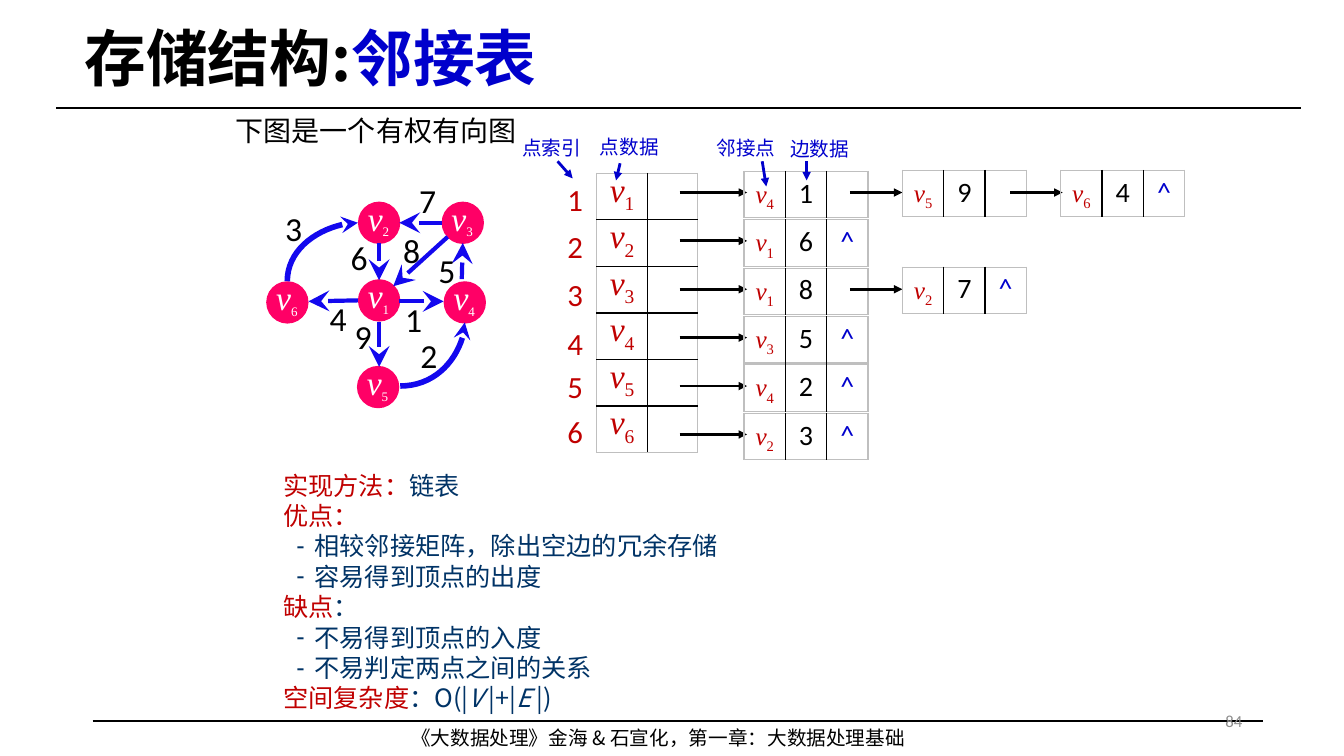
from lxml.etree import SubElement
from pptx import Presentation
from pptx.dml.color import RGBColor
from pptx.enum.shapes import MSO_CONNECTOR as Connector, MSO_SHAPE as Shape
from pptx.enum.text import MSO_ANCHOR as Anchor, MSO_AUTO_SIZE as AutoSize, PP_ALIGN as Align
from pptx.oxml import parse_xml
from pptx.oxml.ns import nsdecls, qn
from pptx.util import Inches, Pt

BLACK = RGBColor(0x00, 0x00, 0x00)
WHITE = RGBColor(0xFF, 0xFF, 0xFF)
RED = RGBColor(0xC0, 0x00, 0x00)
BLUE = RGBColor(0x00, 0x00, 0xCC)
NAVY = RGBColor(0x00, 0x33, 0x66)
PINK = RGBColor(0xFF, 0x00, 0x66)
EDGE_BLUE = RGBColor(0x13, 0x08, 0xEE)
GRAY = RGBColor(0x8C, 0x8C, 0x8C)
BORDER_GRAY = RGBColor(0xBF, 0xBF, 0xBF)
CJK = "Noto Sans CJK SC"
LATIN = "Calibri"
SERIF = "Times New Roman"


def write(paragraph, text, size=18, font=LATIN, color=BLACK, bold=False, italic=False,
          sub=False, align=None, spacing=None):
    if align is not None:
        paragraph.alignment = align
    if spacing:
        paragraph.line_spacing = spacing
    run = paragraph.add_run()
    run.text = text
    run.font.size = Pt(size)
    run.font.bold = bold
    run.font.italic = italic
    run.font.color.rgb = color
    run.font.name = font
    properties = run.font._element
    SubElement(properties, qn("a:ea")).set("typeface", font)
    if sub:
        properties.set("baseline", "-25000")


def write_vertex(paragraph, number, size, sub_size, color, **style):
    write(paragraph, "v", size, SERIF, color, italic=True, **style)
    write(paragraph, str(number), sub_size, SERIF, color, sub=True)


def text_area(slide, x, y, width, height, wrap=False):
    area = slide.shapes.add_textbox(Inches(x), Inches(y), Inches(width), Inches(height))
    area.text_frame.word_wrap = wrap
    return area.text_frame


def line(slide, start, end, color=BLACK, width=2, head=None, tail=None, size="med", curved=False):
    kind = Connector.CURVE if curved else Connector.STRAIGHT
    connector = slide.shapes.add_connector(kind, *(Inches(v) for v in (*start, *end)))
    connector.line.color.rgb = color
    connector.line.width = Pt(width)
    properties = connector._element.spPr
    if curved:
        properties.find(qn("a:prstGeom")).set("prst", "curvedConnector2")
    outline = properties.find(qn("a:ln"))
    for tag, arrow in (("a:headEnd", head), ("a:tailEnd", tail)):
        if arrow:
            end_mark = SubElement(outline, qn(tag))
            for key, value in (("type", arrow), ("w", size), ("len", size)):
                end_mark.set(key, value)
    SubElement(properties, qn("a:effectLst"))


def add_grid(slide, x, y, rows, columns, column_width):
    frame = slide.shapes.add_table(rows, columns, Inches(x), Inches(y),
                                   Inches(column_width * columns), Inches(0.46 * rows))
    grid = frame.table
    grid.first_row = grid.horz_banding = False
    for r in range(rows):
        for c in range(columns):
            cell = grid.cell(r, c)
            cell.fill.background()
            outer = (c == 0, c == columns - 1, r == 0, r == rows - 1)
            for i, (side, is_outer) in enumerate(zip("LRTB", outer)):
                color = BORDER_GRAY if is_outer else BLACK
                cell._tc.get_or_add_tcPr().insert(i, parse_xml(
                    f'<a:ln{side} {nsdecls("a")} w="12700"><a:solidFill>'
                    f'<a:srgbClr val="{color}"/></a:solidFill></a:ln{side}>'))
    return grid


def heading(slide, x, y, width, height):
    title = slide.shapes.title
    title.left, title.top, title.width, title.height = map(Inches, (x, y, width, height))
    title.text_frame.vertical_anchor = Anchor.MIDDLE
    paragraph = title.text_frame.paragraphs[0]
    for text, color in (("存储结构:", BLACK), ("邻接表", BLUE)):
        write(paragraph, text, 44, CJK, color, bold=True, align=Align.LEFT, spacing=0.9)
    line(slide, (x - 0.18, y + 0.92), (x + 12.16, y + 0.92), width=1.75)


def footer(slide, x, y):
    line(slide, (x, y), (x + 11.61, y), width=1.25)
    source = text_area(slide, x + 3.06, y, 5.37, 0.34, wrap=True)
    write(source.paragraphs[0], "《大数据处理》金海 & 石宣化，第一章：大数据处理基础", 14, CJK, spacing=Pt(17))
    page = text_area(slide, x + 8.5, y - 0.2, 3, 0.4, wrap=True)
    page.vertical_anchor = Anchor.MIDDLE
    write(page.paragraphs[0], "84", 12, color=GRAY, align=Align.RIGHT)


def graph(slide, x, y):
    caption = text_area(slide, x - 0.4, y - 0.67, 3.01, 0.44)
    write(caption.paragraphs[0], "下图是一个有权有向图", 20, CJK, spacing=Pt(24.4))
    vertices = {1: (0.91, 1.03), 2: (0.91, 0.26), 3: (1.74, 0.26),
                4: (1.76, 1.05), 5: (0.9, 1.89), 6: (0, 1.05)}
    for dx, dy in vertices.values():
        circle = slide.shapes.add_shape(Shape.OVAL, Inches(x + dx), Inches(y + dy),
                                        Inches(0.42), Inches(0.42))
        circle.shadow.inherit = False
        circle.fill.solid()
        circle.fill.fore_color.rgb = PINK
        circle.line.fill.background()
    edges = [(0.91, 1.24, 0.42, 1.25), (1.12, 1.45, 1.12, 1.9), (1.32, 1.25, 1.76, 1.25),
             (1.12, 0.67, 1.12, 1.04), (1.94, 1.03, 1.95, 0.67), (1.74, 0.47, 1.32, 0.47),
             (1.8, 0.61, 1.26, 1.1)]
    for x1, y1, x2, y2 in edges:
        line(slide, (x + x1, y + y1), (x + x2, y + y2), EDGE_BLUE, 3, tail="stealth", size="lg")
    line(slide, (x + 0.91, y + 0.47), (x + 0.21, y + 1.05), EDGE_BLUE, 4,
         head="stealth", curved=True)
    line(slide, (x + 1.33, y + 2.09), (x + 1.97, y + 1.46), EDGE_BLUE, 4,
         tail="stealth", curved=True)
    weights = {3: (0.09, 0.27), 4: (0.53, 1.17), 9: (0.78, 1.34), 6: (0.74, 0.56), 7: (1.42, 0),
               8: (1.26, 0.49), 5: (1.61, 0.69), 2: (1.43, 1.53), 1: (1.28, 1.18)}
    for weight, (dx, dy) in weights.items():
        write(text_area(slide, x + dx, y + dy, 0.37, 0.51).paragraphs[0], str(weight), 24)
    for number, (dx, dy) in vertices.items():
        label = text_area(slide, x + dx, y + dy - 0.09, 0.43, 0.51)
        write_vertex(label.paragraphs[0], number, 24, 16, WHITE)


def edge_record(slide, x, y, vertex, weight, is_last):
    record = add_grid(slide, x, y, 1, 3, 0.41)
    first, second, third = (record.cell(0, c).text_frame.paragraphs[0] for c in range(3))
    write_vertex(first, vertex, 18, 18, RED, align=Align.CENTER, spacing=Pt(26))
    write(second, str(weight), 20, align=Align.CENTER)
    if is_last:
        write(third, "^", 20, color=BLUE, align=Align.CENTER)


def adjacency_list(slide, x, y):
    vertex_table = add_grid(slide, x, y, 6, 2, 0.5)
    chains = [[(4, 1), (5, 9), (6, 4)], [(1, 6)], [(1, 8), (2, 7)], [(3, 5)], [(4, 2)], [(2, 3)]]
    index_tops = (-0.03, 0.44, 0.92, 1.4, 1.83, 2.28)
    arrows = ((0.82, 1.49), (2.51, 3.03), (4.1, 4.62))
    for i, (chain, index_top) in enumerate(zip(chains, index_tops)):
        write_vertex(vertex_table.cell(i, 0).text_frame.paragraphs[0], i + 1, 24, 24, RED,
                     align=Align.CENTER, spacing=Pt(26))
        index = text_area(slide, x - 0.39, y + index_top, 0.34, 0.51, wrap=True)
        write(index.paragraphs[0], str(i + 1), 22, color=RED, align=Align.CENTER, spacing=Pt(30))
        row_top = y - 0.02 + 0.48 * i
        for j, (vertex, weight) in enumerate(chain):
            start, end = arrows[j]
            line(slide, (x + start, row_top + 0.21), (x + end, row_top + 0.21), tail="triangle")
            edge_record(slide, x + 1.46 + 1.57 * j, row_top - (0.01 if j else 0),
                        vertex, weight, j == len(chain) - 1)
    legend = [("点索引", -0.84, -0.42, (-0.39, -0.12), (-0.24, 0.05)),
              ("点数据", -0.07, -0.43, (0.23, -0.1), (0.19, 0.07)),
              ("邻接点", 1.09, -0.42, (1.64, -0.12), (1.68, 0.13)),
              ("边数据", 1.82, -0.41, (2.08, -0.12), (2.08, 0.07))]
    for text, dx, dy, (x1, y1), (x2, y2) in legend:
        line(slide, (x + x1, y + y1), (x + x2, y + y2), BLUE, tail="triangle")
        write(text_area(slide, x + dx, y + dy, 0.79, 0.34).paragraphs[0], text, 14, CJK, BLUE,
              spacing=Pt(17))


def summary(slide, x, y, width, height):
    body = slide.placeholders[1]
    body.left, body.top, body.width, body.height = map(Inches, (x, y, width, height))
    frame = body.text_frame
    frame.auto_size = AutoSize.NONE
    points = [("实现方法：", "链表"), ("优点：", ""), ("", "相较邻接矩阵，除出空边的冗余存储"),
              ("", "容易得到顶点的出度"), ("缺点", "："), ("", "不易得到顶点的入度"),
              ("", "不易判定两点之间的关系"), ("空间复杂度", "：O(|")]
    for i, (term, detail) in enumerate(points):
        paragraph = frame.paragraphs[0] if i == 0 else frame.add_paragraph()
        properties = paragraph._p.get_or_add_pPr()
        properties.set("marL", str(0 if term else Inches(0.31)))
        properties.set("indent", str(0 if term else -Inches(0.18)))
        if term:
            SubElement(properties, qn("a:buNone"))
        else:
            SubElement(properties, qn("a:buChar")).set("char", "-")
        paragraph.space_before = Pt(0)
        for text, color in ((term, RED), (detail, NAVY)):
            if text:
                write(paragraph, text, 18, CJK, color, spacing=Pt(21.7))
    for text, italic in (("V ", True), ("|+|", False), ("E ", True), ("|)", False)):
        write(paragraph, text, 18, CJK, NAVY, italic=italic)


def main():
    deck = Presentation()
    deck.slide_width, deck.slide_height = Inches(13.33), Inches(7.5)
    slide = deck.slides.add_slide(deck.slide_layouts[1])
    heading(slide, 0.74, 0.15, 11.95, 0.92)
    footer(slide, 0.92, 7.15)
    graph(slide, 2.64, 1.74)
    adjacency_list(slide, 5.92, 1.72)
    summary(slide, 2.71, 4.61, 5.12, 2.52)
    deck.save("out.pptx")


if __name__ == "__main__":
    main()
